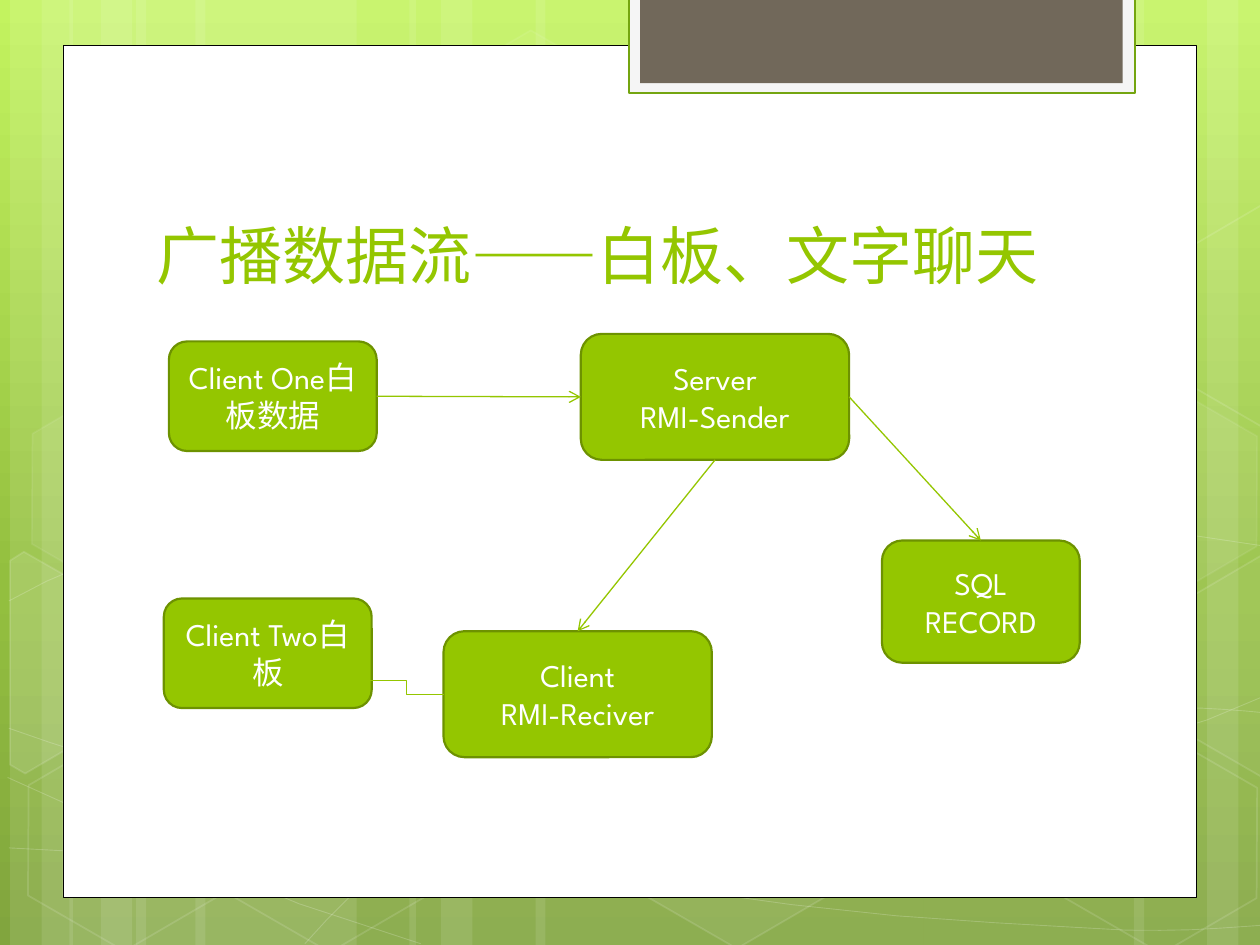
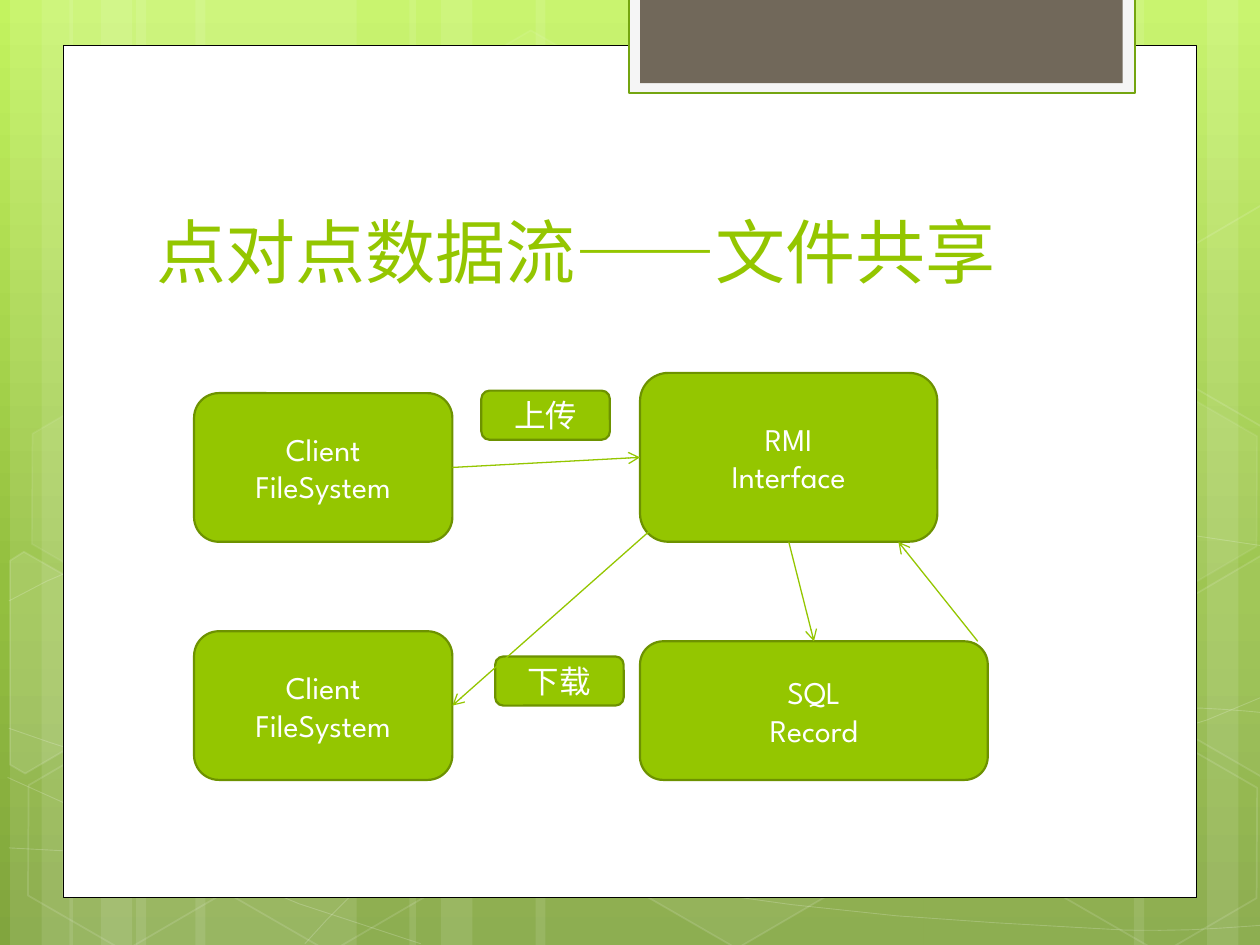
from dataclasses import dataclass
from typing import Any, NamedTuple, Optional, Union

from lxml import etree
from pptx import Presentation
from pptx import util as u
from pptx.dml.color import RGBColor
from pptx.enum import shapes, text
from pptx.oxml.ns import qn

# Shared look
FONT = "League Spartan"
GREEN, DARK_GREEN, WHITE = "94C600", "6D9200", "FFFFFF"
BACKGROUND_STOPS = [(0, "C3F35F"), (62, "93BF3F"), (100, "81A53E")]
TITLE_BOX = (1.14, 1.12, 7.68, 1.25)
UNITS_PER_INCH = 1000  # resolution of outline points
TOP, LEFT, BOTTOM, RIGHT = range(4)
Point = tuple[float, float]
Box = tuple[float, float, float, float]


@dataclass
class Style:
    fill: Optional[str] = None
    fill_alpha: int = 100
    line: Optional[str] = None
    width: float = 1
    line_alpha: int = 100


class Panel(NamedTuple):
    box: Box
    style: Style


class Hexagon(NamedTuple):
    left: float
    top: float
    fill_alpha: int
    line_alpha: int


class CutHexagon(NamedTuple):
    points: list[Point]
    fill_alpha: int


class Wave(NamedTuple):
    start: Point
    curves: list[tuple[float, ...]]  # two control points and an end point


class Node(NamedTuple):
    label: str
    box: Box


class Site(NamedTuple):
    node: str
    side: int


class Link(NamedTuple):
    start: Union[Site, Point]
    end: Union[Site, Point]
    bent: bool = False


@dataclass
class Diagram:
    title: str
    title_size: int
    nodes: dict[str, Node]
    links: list[Link]


# Backdrop: left and width of each full-height stripe
STRIPES = [(1.08, 1.75), (0.08, 0.5), (0.33, 0.83), (1.55, 1.75), (0.55, 0.5), (0.8, 0.83),
           (7.33, 1.75), (9.58, 0.5), (9, 0.83), (4.25, 3.08), (3.25, 0.5), (3.5, 0.83)]
WAVES = [
    Wave((0.07, 6.73), [(0.61, 6.76, 1.15, 6.79, 1.9, 6.78), (2.65, 6.77, 3.58, 6.75, 4.58, 6.65),
                        (5.58, 6.55, 7, 6.36, 7.92, 6.17), (8.83, 5.98, 9.77, 5.68, 10.07, 5.51)]),
    Wave((0.07, 4.77), [(0.36, 4.61, 0.65, 4.46, 1.21, 4.31), (1.78, 4.16, 2.59, 3.94, 3.47, 3.87),
                        (4.36, 3.8, 5.44, 3.79, 6.54, 3.87), (7.64, 3.95, 9.47, 4.26, 10.07, 4.34)]),
    Wave((0.06, 6.17), [(1.27, 6.72, 2.47, 7.27, 3.34, 7.49)]),
    Wave((0.07, 5.78), [(0.38, 5.89, 0.7, 6, 1.28, 6.16), (1.86, 6.31, 2.73, 6.56, 3.57, 6.73),
                        (4.4, 6.9, 5.45, 7.08, 6.28, 7.18), (7.11, 7.29, 8, 7.33, 8.53, 7.36),
                        (9.05, 7.4, 9.19, 7.38, 9.45, 7.38), (9.71, 7.37, 9.89, 7.35, 10.07, 7.34)]),
    Wave((2.42, 7.49), [(2.6, 7.29, 2.78, 7.09, 3.02, 6.91), (3.26, 6.73, 3.6, 6.53, 3.88, 6.39),
                        (4.16, 6.25, 4.33, 6.19, 4.7, 6.09), (5.06, 5.99, 5.73, 5.85, 6.08, 5.78),
                        (6.44, 5.71, 6.49, 5.71, 6.8, 5.69), (7.11, 5.66, 7.6, 5.63, 7.94, 5.62),
                        (8.29, 5.61, 8.86, 5.62, 8.86, 5.62), (9.08, 5.62, 9.31, 5.62, 9.53, 5.62),
                        (9.71, 5.63, 9.88, 5.64, 10.06, 5.66)]),
]
HEXAGONS = [Hexagon(3.34, 0.36, 4, 8), Hexagon(4.97, 5.89, 6, 12), Hexagon(0.11, 5.91, 0, 12),
            Hexagon(0.14, 3.12, 7, 8), Hexagon(1.74, 5.92, 0, 12), Hexagon(8.34, 5.93, 0, 12),
            Hexagon(8.34, 3.14, 7, 8)]
CUT_HEXAGONS = [
    CutHexagon([(0.08, 4.45), (0.19, 4.38), (0.96, 4.82), (0.95, 5.7), (0.2, 6.14), (0.08, 6.07)], 10),
    CutHexagon([(9.26, 4.85), (10.01, 4.41), (10.09, 4.46), (10.09, 6.13), (10.02, 6.17), (9.26, 5.73)], 4),
    CutHexagon([(9.26, 2.07), (10.01, 1.63), (10.1, 1.68), (10.09, 3.35), (10.02, 3.39), (9.26, 2.95)], 0),
]
PANELS = [
    Panel((0.5, 0.36, 9, 6.76), Style(WHITE, line="000000", width=0.5)),
    Panel((4.99, -0.02, 4.02, 0.76), Style("F5F5F5", line="74A510", width=1.25)),
    Panel((5.08, -0.02, 3.83, 0.68), Style("71685A")),
]

# Content
DIAGRAMS = [
    Diagram("广播数据流——白板、文字聊天", 36, {
        "client one": Node("Client One白板数据", (1.34, 2.71, 1.65, 0.87)),
        "server": Node("Server\nRMI-Sender", (4.61, 2.65, 2.13, 1)),
        "client two": Node("Client Two白板", (1.3, 4.75, 1.65, 0.87)),
        "receiver": Node("Client\nRMI-Reciver", (3.52, 5.01, 2.13, 1)),
        "sql": Node("SQL\nRECORD", (7, 4.29, 1.57, 0.97)),
    }, [
        Link(Site("client one", RIGHT), Site("server", LEFT)),
        Link((2.93, 5.4), (3.52, 5.51), bent=True),
        Link(Site("server", BOTTOM), Site("receiver", TOP)),
        Link(Site("server", RIGHT), Site("sql", TOP)),
    ]),
    Diagram("点对点数据流——文件共享", 40, {
        "uploader": Node("Client\nFileSystem", (1.54, 3.12, 2.05, 1.18)),
        "interface": Node("RMI\nInterface", (5.08, 2.96, 2.36, 1.34)),
        "sql": Node("SQL\nRecord", (5.08, 5.09, 2.76, 1.1)),
        "download": Node("下载", (3.93, 5.21, 1.02, 0.39)),
        "downloader": Node("Client\nFileSystem", (1.54, 5.01, 2.05, 1.18)),
        "upload": Node("上传", (3.82, 3.1, 1.02, 0.39)),
    }, [
        Link(Site("uploader", RIGHT), Site("interface", LEFT)),
        Link(Site("interface", BOTTOM), Site("sql", TOP)),
        Link((7.76, 5.09), (7.13, 4.3)),
        Link((5.24, 4.14), Site("downloader", RIGHT)),
    ]),
]


def rgb(colour: str) -> RGBColor:
    return RGBColor.from_string(colour)


def inches(values: tuple[float, ...]) -> list[u.Length]:
    return [u.Inches(value) for value in values]


def set_all(target: Any, values: dict[str, Any]) -> None:
    for name, value in values.items():
        setattr(target, name, value)


def set_alpha(shape: Any, tag_chain: list[str], percent: int) -> None:
    element = shape._element.spPr
    for tag in tag_chain:
        element = element.find(qn(tag))
    etree.SubElement(element, qn("a:alpha")).set("val", str(percent * 1000))


def apply_style(shape: Any, style: Style) -> None:
    shape.shadow.inherit = False
    colour_tags = ["a:solidFill", "a:srgbClr"]
    if style.fill and style.fill_alpha:
        shape.fill.solid()
        shape.fill.fore_color.rgb = rgb(style.fill)
        if style.fill_alpha < 100:
            set_alpha(shape, colour_tags, style.fill_alpha)
    else:
        shape.fill.background()
    if style.line:
        shape.line.color.rgb = rgb(style.line)
        shape.line.width = u.Pt(style.width)
        if style.line_alpha < 100:
            set_alpha(shape, ["a:ln", *colour_tags], style.line_alpha)
    else:
        shape.line.fill.background()


def add_preset(slide: Any, kind: Any, box: Box, style: Style) -> Any:
    shape = slide.shapes.add_shape(kind, *inches(box))
    apply_style(shape, style)
    return shape


def add_outline(slide: Any, points: list[Point], close: bool, style: Style) -> None:
    start, *rest = [(x * UNITS_PER_INCH, y * UNITS_PER_INCH) for x, y in points]
    builder = slide.shapes.build_freeform(*start, scale=u.Inches(1) / UNITS_PER_INCH)
    builder.add_line_segments(rest, close=close)
    apply_style(builder.convert_to_shape(), style)


def wave_points(wave: Wave, steps: int = 3) -> list[Point]:
    """Sample the cubic curves of a wave evenly."""
    points = [wave.start]
    for x1, y1, x2, y2, x3, y3 in wave.curves:
        x0, y0 = points[-1]
        for step in range(1, steps + 1):
            t = step / steps
            a, b, c, d = (1 - t) ** 3, 3 * t * (1 - t) ** 2, 3 * t * t * (1 - t), t ** 3
            points.append((a * x0 + b * x1 + c * x2 + d * x3, a * y0 + b * y1 + c * y2 + d * y3))
    return points


def draw_background(slide: Any) -> None:
    fill = slide.background.fill
    fill.gradient()
    fill.gradient_angle = 270
    stops = slide._element.find(".//" + qn("a:gsLst"))
    stops.clear()
    for position, colour in BACKGROUND_STOPS:
        stop = etree.SubElement(stops, qn("a:gs"), pos=str(position * 1000))
        etree.SubElement(stop, qn("a:srgbClr"), val=colour)


def draw_backdrop(slide: Any) -> None:
    draw_background(slide)
    rectangle = shapes.MSO_SHAPE.RECTANGLE
    for left, width in STRIPES:
        add_preset(slide, rectangle, (left, 0, width, 7.5), Style(WHITE, 10))
    for wave in WAVES:
        add_outline(slide, wave_points(wave), False, Style(line=WHITE, width=0.5, line_alpha=20))
    for item in HEXAGONS:
        hexagon = add_preset(slide, shapes.MSO_SHAPE.HEXAGON, (item.left, item.top, 1.75, 1.52),
                             Style(WHITE, item.fill_alpha, WHITE, 1, item.line_alpha))
        hexagon.adjustments[0] = 0.285
        hexagon.rotation = 30
    for cut in CUT_HEXAGONS:
        add_outline(slide, cut.points, True, Style(WHITE, cut.fill_alpha, WHITE, 1, 12))
    for panel in PANELS:
        add_preset(slide, rectangle, panel.box, panel.style)


def write_text(shape: Any, words: str, size: int, colour: str, anchor: Any, align: Any) -> None:
    frame = shape.text_frame
    frame.text = words
    set_all(frame, {"word_wrap": True, "vertical_anchor": anchor})
    for paragraph in frame.paragraphs:
        paragraph.alignment = align
        set_all(paragraph.runs[0].font, {"name": FONT, "size": u.Pt(size)})
        paragraph.runs[0].font.color.rgb = rgb(colour)


def draw_title(slide: Any, words: str, size: int) -> None:
    title = slide.shapes.add_textbox(*inches(TITLE_BOX))
    write_text(title, words, size, GREEN, text.MSO_ANCHOR.BOTTOM, text.PP_ALIGN.LEFT)


def draw_node(slide: Any, node: Node) -> Any:
    shape = add_preset(slide, shapes.MSO_SHAPE.ROUNDED_RECTANGLE, node.box,
                       Style(GREEN, line=DARK_GREEN, width=1.25))
    write_text(shape, node.label, 18, WHITE, text.MSO_ANCHOR.MIDDLE, text.PP_ALIGN.CENTER)
    return shape


def draw_link(slide: Any, link: Link, nodes: dict[str, Any]) -> None:
    kind = shapes.MSO_CONNECTOR.ELBOW if link.bent else shapes.MSO_CONNECTOR.STRAIGHT
    free_ends = [(0, 0) if isinstance(end, Site) else end for end in (link.start, link.end)]
    connector = slide.shapes.add_connector(kind, *inches(free_ends[0] + free_ends[1]))
    for end, join in ((link.start, connector.begin_connect), (link.end, connector.end_connect)):
        if isinstance(end, Site):
            join(nodes[end.node], end.side)
    connector.line.color.rgb = rgb(GREEN)
    connector.line.width = u.Pt(0.75)
    properties = connector._element.spPr
    if not link.bent:
        etree.SubElement(properties.find(qn("a:ln")), qn("a:tailEnd"), type="arrow")
    etree.SubElement(properties, qn("a:effectLst"))


def main() -> None:
    deck = Presentation()
    set_all(deck, {"slide_width": u.Inches(10), "slide_height": u.Inches(7.5)})
    for diagram in DIAGRAMS:
        slide = deck.slides.add_slide(deck.slide_layouts[6])
        draw_backdrop(slide)
        draw_title(slide, diagram.title, diagram.title_size)
        nodes = {key: draw_node(slide, node) for key, node in diagram.nodes.items()}
        for link in diagram.links:
            draw_link(slide, link, nodes)
    deck.save("out.pptx")


if __name__ == "__main__":
    main()
